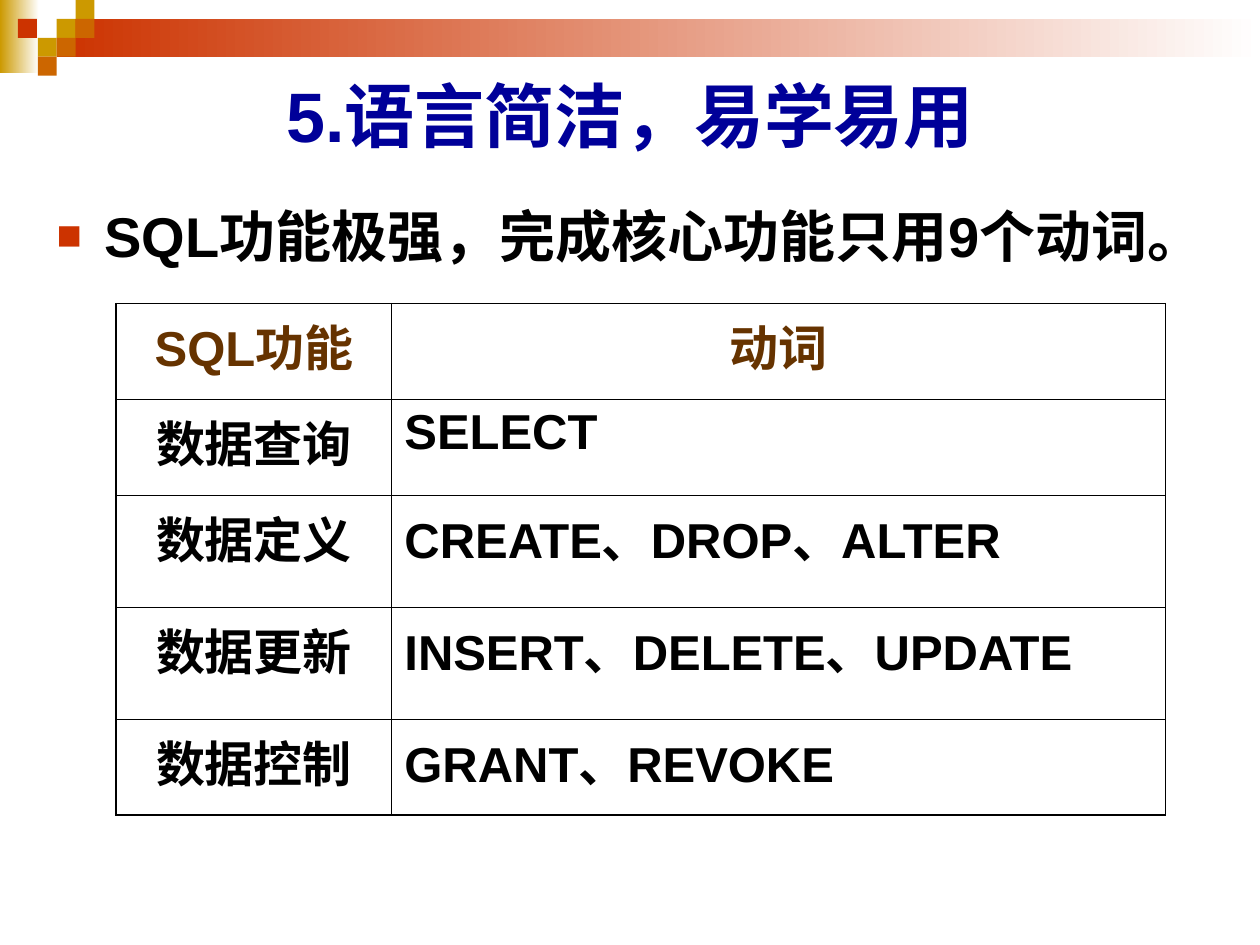
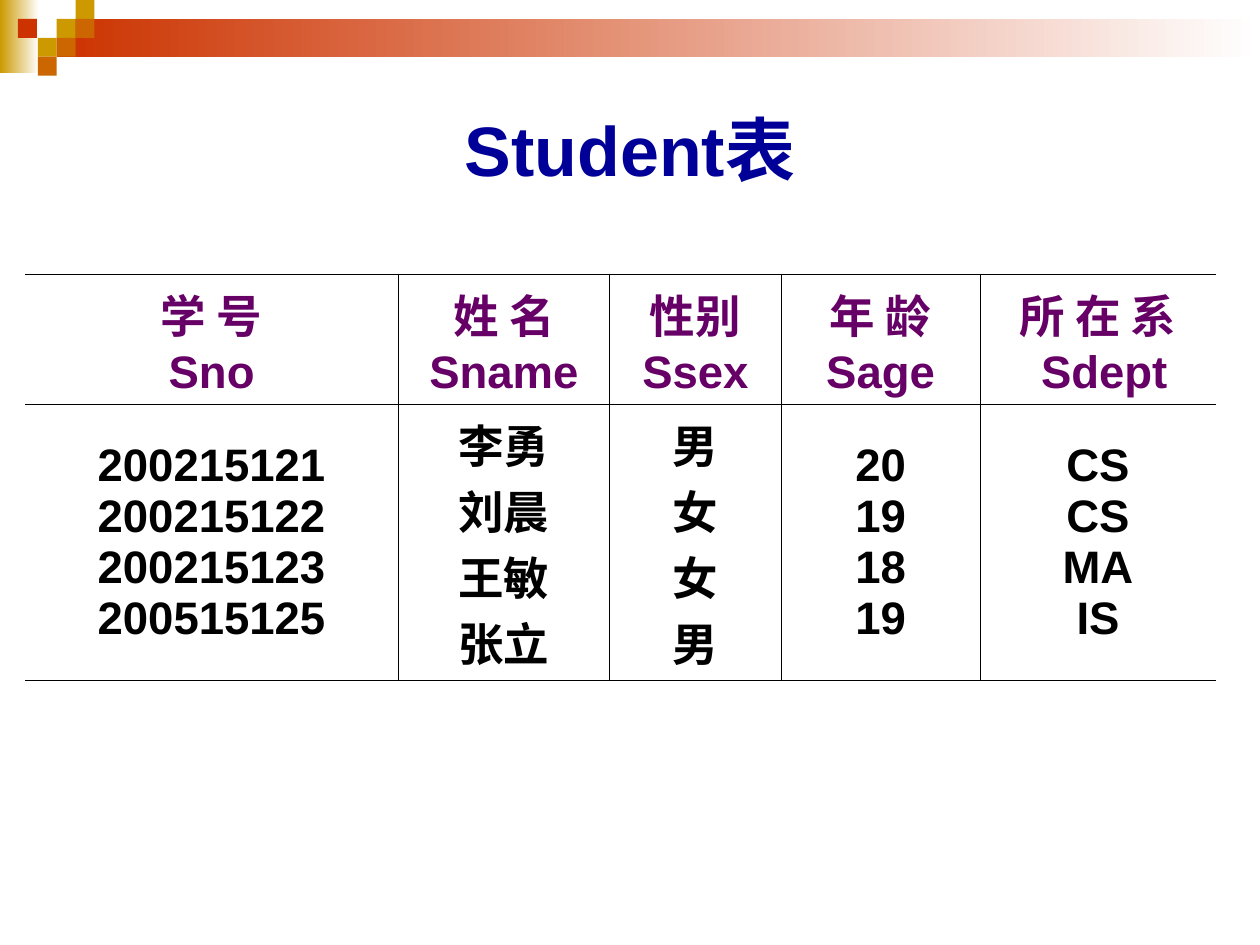
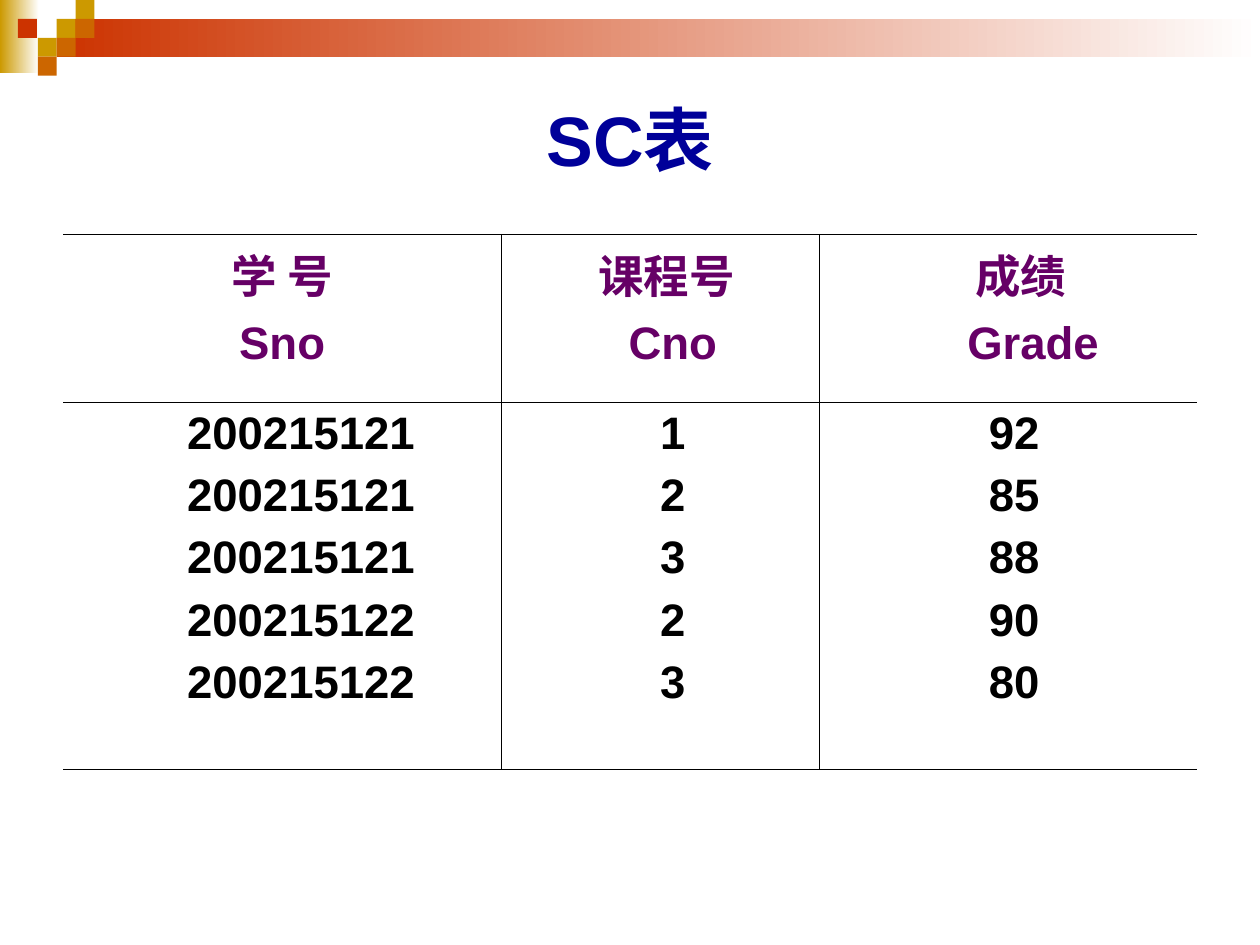
from dataclasses import dataclass

from lxml.etree import SubElement
from pptx import Presentation
from pptx.dml.color import RGBColor as Rgb
from pptx.enum.shapes import MSO_SHAPE as Preset
from pptx.enum.text import MSO_ANCHOR as Anchor, MSO_AUTO_SIZE as AutoSize, PP_ALIGN as Align
from pptx.oxml import parse_xml
from pptx.oxml.ns import nsdecls, qn
from pptx.util import Emu, Inches, Pt

COLORS = {
    "title": "000099", "text": "000000", "brown": "663300", "purple": "660066",
    "gold": "CC9900", "orange": "CC6600", "red": "CC3300", "white": "FFFFFF",
}
FONT = "Arial"
GRID_COLUMNS, GRID_ROWS = 100, 75
TILE = 1.5
THIN, THICK = 0.45, 1.08


@dataclass
class TableStyle:
    size: float
    header_color: str
    outer: dict
    space_before: float = 0
    anchor: Anchor = Anchor.TOP
    left_columns: tuple = ()


class Deck:
    def __init__(self):
        self.prs = Presentation()
        self.prs.slide_width, self.prs.slide_height = Inches(10), Inches(7.5)
        self.layout = self.prs.slide_layouts[5]
        self.slide = None

    def x(self, columns):
        return Emu(round(columns * self.prs.slide_width / GRID_COLUMNS))

    def y(self, rows):
        return Emu(round(rows * self.prs.slide_height / GRID_ROWS))

    def box(self, left, top, width, height):
        return self.x(left), self.y(top), self.x(width), self.y(height)

    def color(self, name):
        return Rgb.from_string(COLORS[name])

    def start(self, title, title_height):
        self.slide = self.prs.slides.add_slide(self.layout)
        heading = self.slide.shapes.title
        heading.left, heading.top, heading.width, heading.height = self.box(5, 5, 90, title_height)
        frame = heading.text_frame
        frame.word_wrap, frame.auto_size = True, AutoSize.NONE
        frame.vertical_anchor = Anchor.MIDDLE
        self.add_text(frame.paragraphs[0], title, 40, "title", Align.CENTER)

    def add_text(self, paragraph, text, size, color, align=Align.LEFT, space_before=0, indent=0):
        paragraph.alignment = align
        paragraph.space_before = Pt(space_before)
        if indent:
            paragraph._p.get_or_add_pPr().set("marL", str(self.x(indent)))
        run = paragraph.add_run()
        run.text = text
        run.font.name, run.font.size, run.font.bold = FONT, Pt(size), True
        run.font.color.rgb = self.color(color)

    def block(self, place, color, fade=False):
        block = self.slide.shapes.add_shape(Preset.RECTANGLE, *self.box(*place))
        block.shadow.inherit = False
        block.line.fill.background()
        if fade:
            block.fill.gradient()
            block.fill.gradient_angle = 0
            for stop, name in zip(block.fill.gradient_stops, (color, "white")):
                stop.color.rgb = self.color(name)
        else:
            block.fill.solid()
            block.fill.fore_color.rgb = self.color(color)
        return block

    def share_band(self):
        band = [self.block((0, 0, 3.1, 5.8), "gold", True),
                self.block((4.5, 1.5, 95.5, 3), "red", True)]
        tiles = [(3, 1, "gold"), (4, 0, "gold"), (4, 1, "orange"), (2, 2, "gold"),
                 (0.95, 1, "red"), (3, 2, "orange"), (2, 3, "orange")]
        band += [self.block((column * TILE, row * TILE, TILE, TILE), color)
                 for column, row, color in tiles]
        tree = self.layout.element.cSld.spTree
        for position, block in enumerate(band, 2):
            tree.insert(position, block.element)

    def bullet(self, place, text):
        frame = self.slide.shapes.add_textbox(*self.box(*place)).text_frame
        frame.word_wrap = True
        paragraph = frame.paragraphs[0]
        self.add_text(paragraph, text, 32, "text", space_before=8, indent=3.8)
        properties = paragraph._p.get_or_add_pPr()
        properties.set("indent", str(-self.x(3.8)))
        tint = SubElement(properties, qn("a:buClr"))
        SubElement(tint, qn("a:srgbClr"), val=COLORS["red"])
        SubElement(properties, qn("a:buSzPct"), val="75000")
        SubElement(properties, qn("a:buFont"), typeface=FONT)
        SubElement(properties, qn("a:buChar"), char="■")

    def borders(self, cell, widths):
        properties = cell._tc.get_or_add_tcPr()
        for position, side in enumerate("LRTB"):
            width = widths[side]
            paint = f'<a:solidFill><a:srgbClr val="{COLORS["text"]}"/></a:solidFill>' if width else "<a:noFill/>"
            properties.insert(position, parse_xml(
                f'<a:ln{side} {nsdecls("a")} w="{Pt(width)}">{paint}</a:ln{side}>'))

    def table(self, left, top, widths, heights, rows, style):
        place = self.box(left, top, sum(widths), sum(heights))
        table = self.slide.shapes.add_table(len(rows), len(widths), *place).table
        table.first_row = table.horz_banding = False
        for column, width in zip(table.columns, widths):
            column.width = self.x(width)
        for row, height in zip(table.rows, heights):
            row.height = self.y(height)
        for r, row in enumerate(rows):
            for c, cell_lines in enumerate(row):
                cell = table.cell(r, c)
                cell.vertical_anchor = style.anchor
                cell.fill.background()
                edges = {"L": c == 0, "R": c == len(widths) - 1, "T": r == 0, "B": r == len(rows) - 1}
                self.borders(cell, {side: style.outer[side] if edge else THIN
                                    for side, edge in edges.items()})
                align = Align.LEFT if r and c in style.left_columns else Align.CENTER
                for n, (text, indent) in enumerate(cell_lines):
                    frame = cell.text_frame
                    paragraph = frame.add_paragraph() if n else frame.paragraphs[0]
                    self.add_text(paragraph, text, style.size, "text" if r else style.header_color,
                                  align, style.space_before, indent)


def lines(*texts, indent=0):
    return [(text, indent) for text in texts]


def main():
    deck = Deck()
    framed = dict.fromkeys("LRTB", THICK)
    open_sides = {"L": 0, "R": 0, "T": THIN, "B": THIN}

    deck.start("5.语言简洁，易学易用", 8.1)
    deck.share_band()
    verbs = [("SQL功能", "动词"), ("数据查询", "SELECT"), ("数据定义", "CREATE、DROP、ALTER"),
             ("数据更新", "INSERT、DELETE、UPDATE"), ("数据控制", "GRANT、REVOKE")]
    deck.table(9.2, 24.1, [21.9, 61.4], [7.6, 7.6, 8.9, 8.9, 7.6],
               [[lines(text) for text in row] for row in verbs],
               TableStyle(28, "brown", framed, space_before=7, left_columns=(1,)))
    deck.bullet((3.5, 15.5, 96.5, 42.5), "SQL功能极强，完成核心功能只用9个动词。")

    deck.start("Student表", 13.6)
    student_header = [lines("学 号", "Sno"), lines("姓 名Sname"), lines("性别Ssex"),
                      lines("年 龄", "Sage"), [("所 在 系", 0), ("Sdept", 1)]]
    students = [("200215121", "李勇", "男", "20", "CS"), ("200215122", "刘晨", "女", "19", "CS"),
                ("200215123", "王敏", "女", "18", "MA"), ("200515125", "张立", "男", "19", "IS")]
    deck.table(2, 21.8, [29.6, 16.8, 13.6, 15.8, 18.7], [10.2, 20.2],
               [student_header, [lines(*values) for values in zip(*students)]],
               TableStyle(26, "purple", open_sides, anchor=Anchor.MIDDLE))

    deck.start("SC表", 12)
    grade_header = [lines("学 号", "Sno"), [("课程号", 1), ("Cno", 2)], [("成绩", 2), ("Grade", 4)]]
    grades = [("200215121", "1", "92"), ("200215121", "2", "85"), ("200215121", "3", "88"),
              ("200215122", "2", "90"), ("200215122", "3", "80")]
    deck.table(5, 18.6, [34.8, 25.2, 30], [13.3, 29.2],
               [grade_header, [lines(*values, indent=indent)
                               for values, indent in zip(zip(*grades), (3, 2, 1))]],
               TableStyle(26, "purple", open_sides, space_before=6.5))

    deck.prs.save("out.pptx")


if __name__ == "__main__":
    main()
